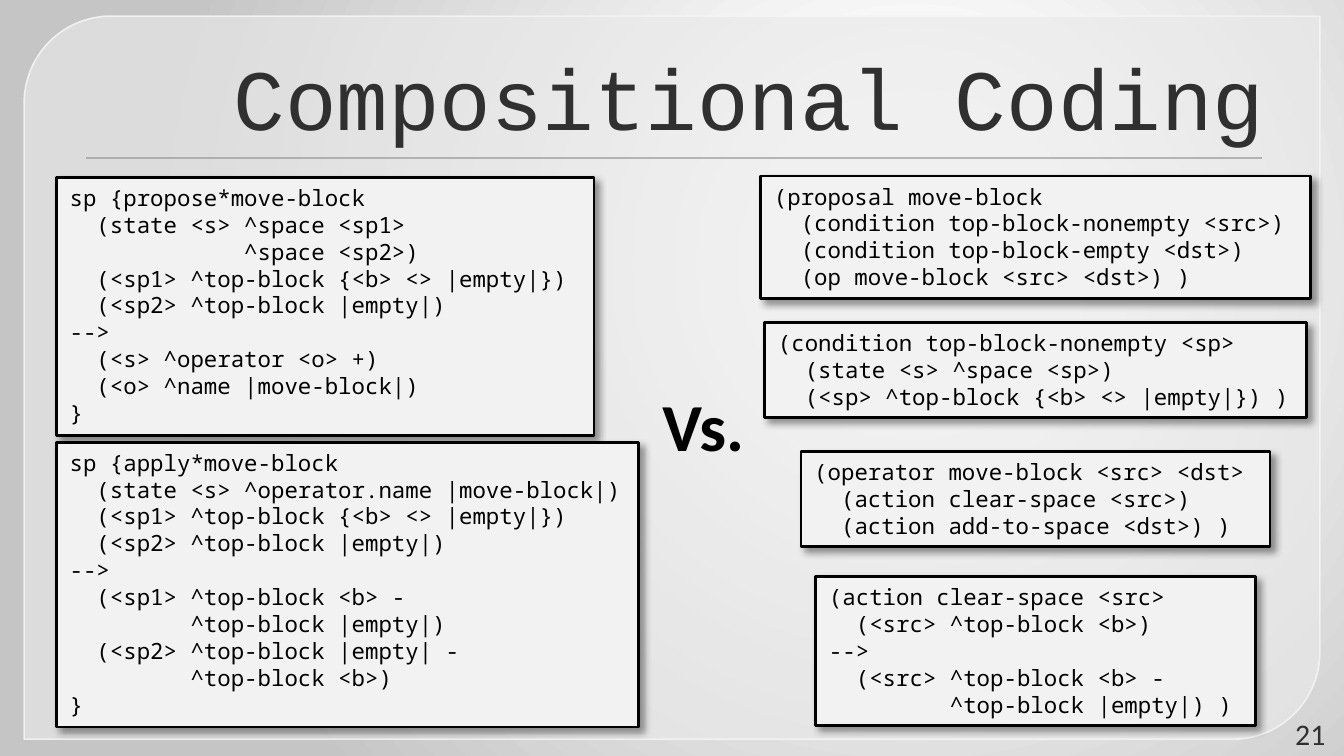
import pptx
import pptx.util
import pptx.oxml
import pptx.oxml.ns
import pptx.dml.color
import pptx.enum.shapes
import pptx.enum.text

Inches = pptx.util.Inches
Pt = pptx.util.Pt
RGBColor = pptx.dml.color.RGBColor
MSO_SHAPE = pptx.enum.shapes.MSO_SHAPE
PP_ALIGN = pptx.enum.text.PP_ALIGN
MSO_ANCHOR = pptx.enum.text.MSO_ANCHOR
MSO_AUTO_SIZE = pptx.enum.text.MSO_AUTO_SIZE

BLACK = RGBColor(0x00, 0x00, 0x00)
CHARCOAL = RGBColor(0x30, 0x30, 0x30)
RULE_GRAY = RGBColor(0x96, 0x96, 0x96)
PANEL_GRAY = RGBColor(0xE9, 0xE9, 0xE9)
PANEL_EDGE = RGBColor(0xF5, 0xF5, 0xF5)
CODE_FILL = RGBColor(0xF2, 0xF2, 0xF2)
WHITE = RGBColor(0xFF, 0xFF, 0xFF)
BACKDROP_GRAY = RGBColor(0xC5, 0xC5, 0xC5)

NS = pptx.oxml.ns.nsdecls("a")
qn = pptx.oxml.ns.qn


def write(shape, lines, frame_format, font_format, align):
    """Fill a shape with one paragraph per line and format them alike."""
    frame = shape.text_frame
    for name, value in frame_format.items():
        setattr(frame, name, value)
    frame.text = "\n".join(lines)
    for paragraph in frame.paragraphs:
        paragraph.alignment = align
        for run in paragraph.runs:
            run.font.color.rgb = font_format["color"]
            for name in ("name", "size", "bold"):
                setattr(run.font, name, font_format[name])


def set_alpha(fill_parent, percent):
    """Make the solid colour below an element partly transparent."""
    color = fill_parent.find(qn("a:solidFill"))[0]
    color.append(pptx.oxml.parse_xml(f'<a:alpha {NS} val="{percent * 1000}"/>'))


# Widescreen slide, 16 to 9
prs = pptx.Presentation()
prs.slide_width = Inches(10)
prs.slide_height = Inches(10) * 9 // 16
slide = prs.slides.add_slide(prs.slide_layouts[5])
shapes = slide.shapes

# Backdrop: circular gradient
slide.background.fill.solid()
slide.background.fill.fore_color.rgb = WHITE
backdrop = slide.element.find(".//" + qn("p:bgPr"))
stops = "".join(
    f'<a:gs pos="{position * 1000}"><a:srgbClr val="{color}"/></a:gs>'
    for position, color in ((0, WHITE), (20, WHITE), (100, BACKDROP_GRAY))
)
backdrop.replace(backdrop.find(qn("a:solidFill")), pptx.oxml.parse_xml(
    f'<a:gradFill {NS} rotWithShape="1"><a:gsLst>{stops}</a:gsLst><a:path path="circle">'
    '<a:fillToRect l="68000" t="35000" r="32000" b="65000"/></a:path></a:gradFill>'
))

# Panel with two rounded corners
panel = shapes.add_shape(MSO_SHAPE.ROUND_2_DIAG_RECTANGLE,
                         Inches(0.18), Inches(0.12), Inches(9.64), Inches(5.38))
panel.adjustments[0] = 0.12
panel.adjustments[1] = 0
panel.shadow.inherit = False
panel.fill.solid()
panel.fill.fore_color.rgb = PANEL_GRAY
panel.line.color.rgb = PANEL_EDGE
panel.line.width = Pt(0.87)
set_alpha(panel.element.spPr, 65)
set_alpha(panel.element.spPr.find(qn("a:ln")), 88)

# Rule under the title
rule = shapes.add_shape(MSO_SHAPE.RECTANGLE,
                        Inches(0.64), Inches(1.17), Inches(8.75), Inches(0.01))
rule.shadow.inherit = False
rule.fill.solid()
rule.fill.fore_color.rgb = RULE_GRAY
rule.line.fill.background()

# Title, brought in front of the panel
title = shapes.title
title.element.getparent().append(title.element)
title.left, title.top, title.width, title.height = (
    Inches(0.5), Inches(0.21), Inches(9), Inches(0.94))
write(title, ["Compositional Coding"],
      {"vertical_anchor": MSO_ANCHOR.BOTTOM, "auto_size": MSO_AUTO_SIZE.NONE},
      {"name": "Courier New", "size": Pt(46), "bold": False, "color": CHARCOAL},
      PP_ALIGN.RIGHT)

# Slide number
number = shapes.add_textbox(Inches(9.45), Inches(5.34), Inches(0.51), Inches(0.23))
write(number, ["21"],
      {"vertical_anchor": MSO_ANCHOR.MIDDLE, "word_wrap": True},
      {"name": "Calibri", "size": Pt(16), "bold": False, "color": CHARCOAL},
      PP_ALIGN.RIGHT)

# Code boxes: left, top, width, height, code
code_boxes = [
    (0.42, 1.32, 4, 1.92, [
        "sp {propose*move-block",
        "  (state <s> ^space <sp1>",
        "             ^space <sp2>)",
        "  (<sp1> ^top-block {<b> <> |empty|})",
        "  (<sp2> ^top-block |empty|)",
        "-->",
        "  (<s> ^operator <o> +)",
        "  (<o> ^name |move-block|)",
        "}",
    ]),
    (0.42, 3.29, 4.33, 2.12, [
        "sp {apply*move-block",
        "  (state <s> ^operator.name |move-block|)",
        "  (<sp1> ^top-block {<b> <> |empty|})",
        "  (<sp2> ^top-block |empty|)",
        "-->",
        "  (<sp1> ^top-block <b> -",
        "         ^top-block |empty|)",
        "  (<sp2> ^top-block |empty| -",
        "         ^top-block <b>)",
        "}",
    ]),
    (5.69, 2.4, 4.03, 0.71, [
        "(condition top-block-nonempty <sp>",
        "  (state <s> ^space <sp>)",
        "  (<sp> ^top-block {<b> <> |empty|}) )",
    ]),
    (5.66, 1.31, 4.09, 0.91, [
        "(proposal move-block",
        "  (condition top-block-nonempty <src>)",
        "  (condition top-block-empty <dst>)",
        "  (op move-block <src> <dst>) )",
    ]),
    (6.07, 4.29, 3.27, 1.11, [
        "(action clear-space <src>",
        "  (<src> ^top-block <b>)",
        "-->",
        "  (<src> ^top-block <b> -",
        "         ^top-block |empty|) )",
    ]),
    (5.96, 3.36, 3.49, 0.71, [
        "(operator move-block <src> <dst>",
        "  (action clear-space <src>)",
        "  (action add-to-space <dst>) )",
    ]),
]
for left, top, width, height, code in code_boxes:
    code_box = shapes.add_shape(MSO_SHAPE.RECTANGLE, Inches(left), Inches(top),
                                Inches(width), Inches(height))
    code_box.fill.solid()
    code_box.fill.fore_color.rgb = CODE_FILL
    code_box.line.color.rgb = BLACK
    code_box.line.width = Pt(1.5)
    code_box.shadow.inherit = False
    code_box.element.spPr.find(qn("a:effectLst")).append(pptx.oxml.parse_xml(
        f'<a:outerShdw {NS} blurRad="{Pt(4)}" dist="{Pt(3)}" dir="{45 * 60000}" '
        f'algn="tl" rotWithShape="0"><a:srgbClr val="{BLACK}">'
        '<a:alpha val="40000"/></a:srgbClr></a:outerShdw>'
    ))
    write(code_box, code,
          {"vertical_anchor": MSO_ANCHOR.TOP, "word_wrap": True,
           "auto_size": MSO_AUTO_SIZE.SHAPE_TO_FIT_TEXT},
          {"name": "Noto Sans Mono", "size": Pt(12), "bold": False, "color": BLACK},
          PP_ALIGN.LEFT)

# Versus label between the two columns
versus = shapes.add_textbox(Inches(4.83), Inches(2.81), Inches(0.82), Inches(0.71))
write(versus, ["Vs."],
      {"word_wrap": False, "auto_size": MSO_AUTO_SIZE.SHAPE_TO_FIT_TEXT},
      {"name": "Calibri", "size": Pt(36), "bold": True, "color": BLACK},
      PP_ALIGN.LEFT)

prs.save("out.pptx")
